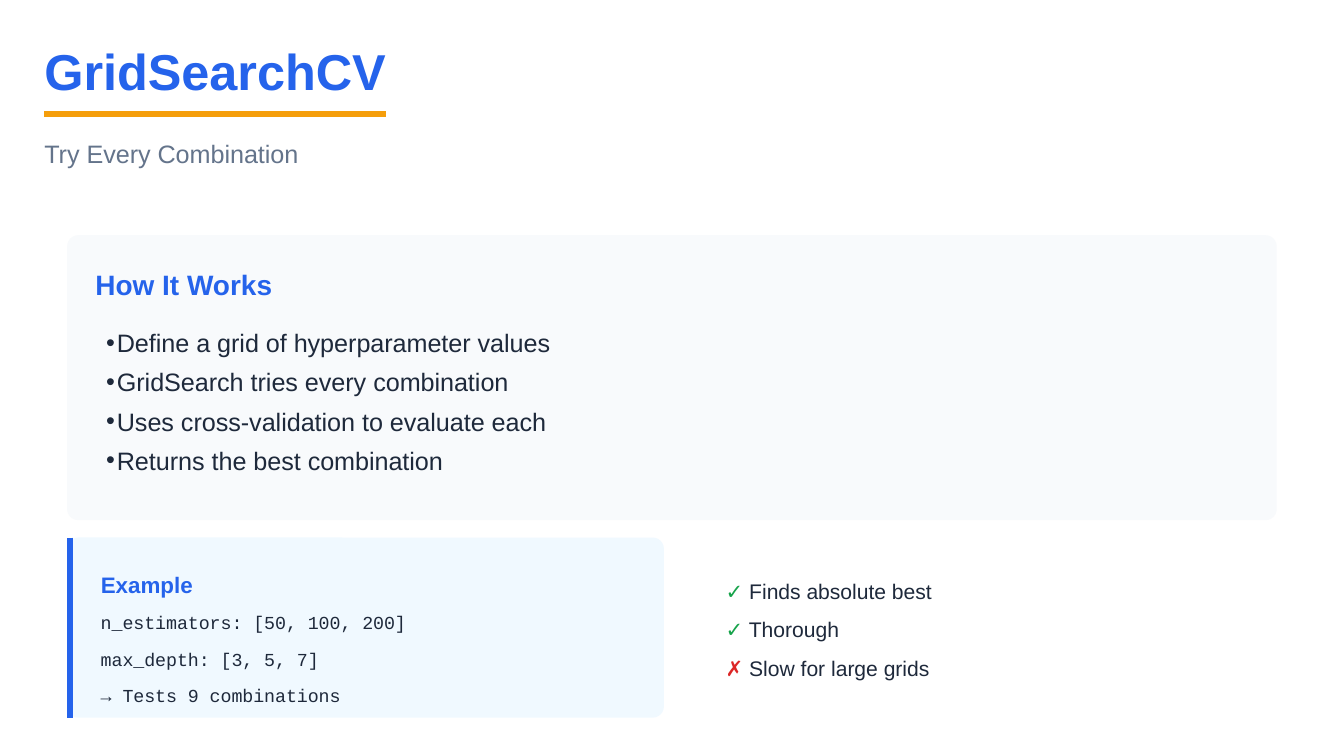
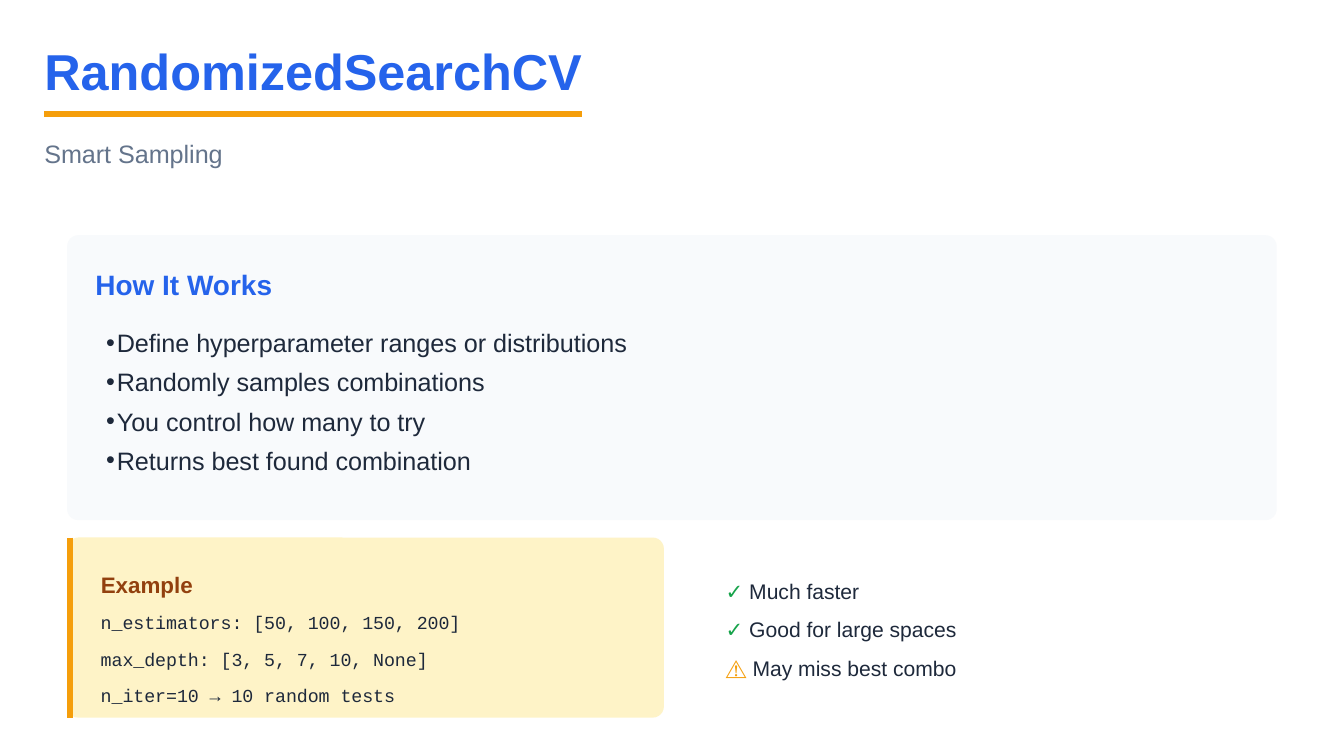
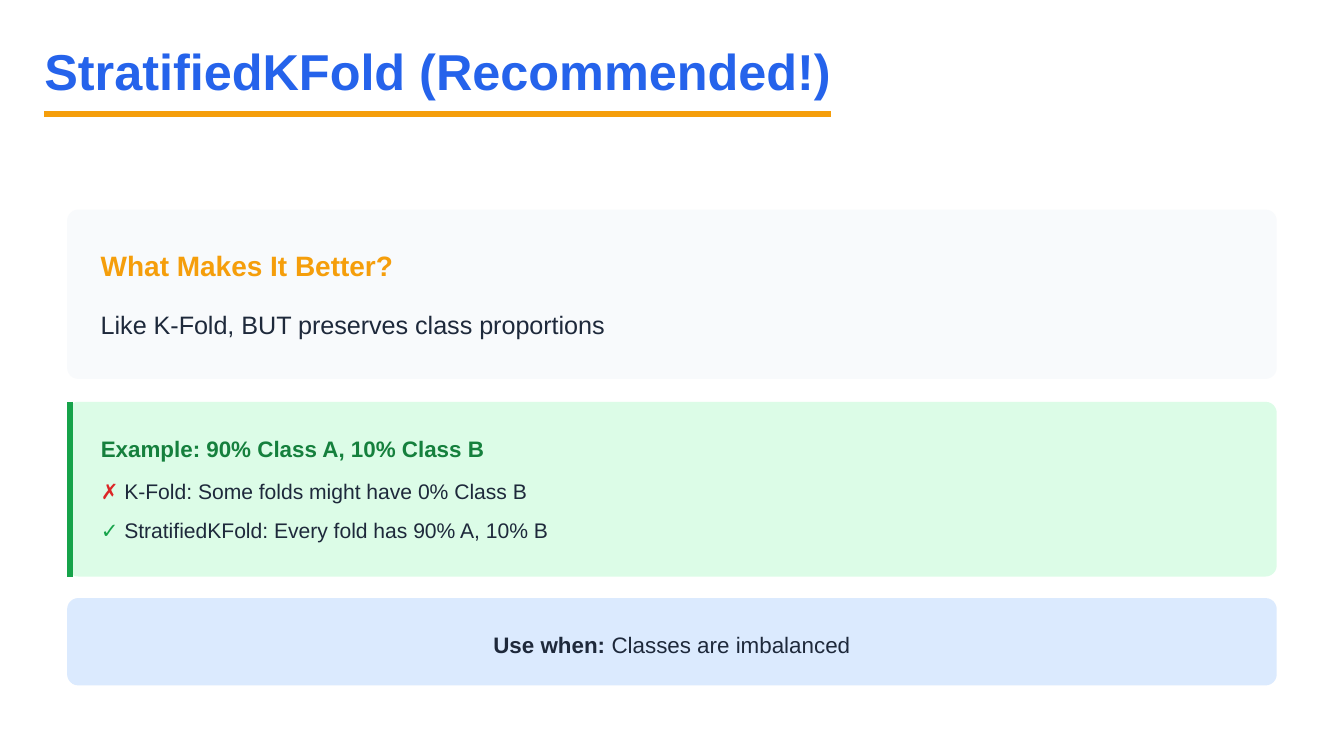
from dataclasses import dataclass
from lxml.etree import SubElement
from pptx import Presentation
from pptx.dml.color import RGBColor
from pptx.enum.shapes import MSO_CONNECTOR as Connector, MSO_SHAPE as Shape
from pptx.enum.text import MSO_ANCHOR as Anchor, MSO_AUTO_SIZE as AutoSize, PP_ALIGN as Align
from pptx.oxml.ns import qn
from pptx.util import Inches, Pt


@dataclass(frozen=True)
class Theme:
    """Colours, fonts and type sizes shared by the slides."""
    blue: str = "2563EB"
    orange: str = "F59E0B"
    green: str = "16A34A"
    red: str = "DC2626"
    brown: str = "92400E"
    dark_green: str = "15803D"
    ink: str = "1E293B"
    muted: str = "64748B"
    card: str = "F8FAFC"
    pale_blue: str = "F0F9FF"
    pale_yellow: str = "FEF3C7"
    pale_green: str = "DCFCE7"
    light_blue: str = "DBEAFE"
    font: str = "Arial"
    code_font: str = "Courier New"
    title_size: float = 27
    heading_size: float = 15
    body_size: float = 13.5
    label_size: float = 12
    mark_size: float = 11.25
    code_size: float = 9.75
    rule_width: float = 3
    corner: float = 6


THEME = Theme()
MARK_COLOURS = {"✓": THEME.green, "✗": THEME.red, "⚠": THEME.orange}


@dataclass(frozen=True)
class Box:
    """A rectangle in inches."""
    left: float
    top: float
    width: float
    height: float

    def inside(self, left, top, height, right=0.04):
        """Return a strip placed relative to this box."""
        return Box(self.left + left, self.top + top, self.width - left - right, height)

    def place(self):
        """Return the four lengths used by shapes."""
        return [Inches(value) for value in (self.left, self.top, self.width, self.height)]


def style_font(font, size, colour, bold=False, name=THEME.font):
    """Set the look of a font."""
    font.size, font.bold, font.name = Pt(size), bold, name
    font.color.rgb = RGBColor.from_string(colour)


def prepare_frame(frame):
    """Remove margins and keep the text at the top of its box."""
    frame.margin_left = frame.margin_right = frame.margin_top = frame.margin_bottom = 0
    frame.word_wrap, frame.auto_size = True, AutoSize.NONE
    frame.vertical_anchor = Anchor.TOP


def add_text(slide, box, lines, size, colour, leading, bold=False, name=THEME.font, gap=0):
    """Add a text box with one paragraph per line and return its frame."""
    frame = slide.shapes.add_textbox(*box.place()).text_frame
    prepare_frame(frame)
    for index, line in enumerate(lines):
        paragraph = frame.paragraphs[0] if index == 0 else frame.add_paragraph()
        paragraph.text = line
        paragraph.line_spacing = Pt(leading)
        if index:
            paragraph.space_before = Pt(gap)
        paragraph.space_after = Pt(gap)
        style_font(paragraph.font, size, colour, bold, name)
    return frame


def add_bullets(slide, box, lines):
    """Add a bulleted list."""
    frame = add_text(slide, box, lines, THEME.body_size, THEME.ink, 21)
    frame.margin_left = Inches(0.08)
    for paragraph in frame.paragraphs:
        properties = paragraph._p.get_or_add_pPr()
        properties.set("marL", str(Inches(0.08)))
        properties.set("indent", str(-Inches(0.08)))
        font_properties = properties.find(qn("a:defRPr"))
        font_properties.addprevious(SubElement(properties, qn("a:buFont"), typeface=THEME.font))
        font_properties.addprevious(SubElement(properties, qn("a:buChar"), char="•"))


def add_two_tone(slide, box, parts, size, leading, align=Align.LEFT):
    """Add one line whose (text, colour, bold) parts differ."""
    frame = slide.shapes.add_textbox(*box.place()).text_frame
    prepare_frame(frame)
    paragraph = frame.paragraphs[0]
    paragraph.alignment, paragraph.line_spacing = align, Pt(leading)
    for text, colour, bold in parts:
        run = paragraph.add_run()
        run.text = text
        style_font(run.font, size, colour, bold)


def add_marked_lines(slide, box, items, bold_mark):
    """Stack lines that start with a coloured mark."""
    pitch = Pt(20.6).inches
    for index, (mark, text) in enumerate(items):
        parts = [(mark, MARK_COLOURS[mark], bold_mark), (f" {text}", THEME.ink, False)]
        add_two_tone(slide, box.inside(0, index * pitch, 0.22, 0), parts, THEME.mark_size, 15.8)


def add_rule(slide, start, end, colour):
    """Draw a thick straight line between two points."""
    rule = slide.shapes.add_connector(
        Connector.STRAIGHT, *(Inches(value) for value in (*start, *end)))
    rule.line.color.rgb, rule.line.width = RGBColor.from_string(colour), Pt(THEME.rule_width)
    SubElement(rule._element.spPr, qn("a:effectLst"))


def add_card(slide, box, fill, accent=None):
    """Draw a rounded panel, with a bar at its left if it has an accent."""
    card = slide.shapes.add_shape(Shape.ROUNDED_RECTANGLE, *box.place())
    card.adjustments[0] = Pt(THEME.corner).inches / min(box.width, box.height)
    card.shadow.inherit = False
    card.fill.solid()
    card.fill.fore_color.rgb = RGBColor.from_string(fill)
    card.line.fill.background()
    if accent:
        bar = box.left + 0.02
        add_rule(slide, (bar, box.top), (bar, box.top + box.height), accent)


def add_header(presentation, title, box, subtitle=None):
    """Start a slide with an underlined title and an optional subtitle."""
    slide = presentation.slides.add_slide(presentation.slide_layouts[5])
    add_rule(slide, (box.left, 0.85), (box.left + box.width / 1.02, 0.85), THEME.orange)
    heading = slide.shapes.title
    heading.left, heading.top, heading.width, heading.height = box.place()
    heading.text_frame.text = title
    prepare_frame(heading.text_frame)
    heading.text_frame.word_wrap = False
    paragraph = heading.text_frame.paragraphs[0]
    paragraph.alignment, paragraph.line_spacing = Align.LEFT, Pt(30)
    style_font(paragraph.font, THEME.title_size, THEME.blue, True)
    if subtitle:
        add_text(slide, Box(box.left, 0.96, 9.52, 0.29), [subtitle],
                 THEME.body_size, THEME.muted, 21)
    return slide


def add_steps_card(slide, box, steps):
    """Fill the panel that explains how a search works."""
    add_card(slide, box, THEME.card)
    add_text(slide, box.inside(0.21, 0.2, 0.29), ["How It Works"],
             THEME.heading_size, THEME.blue, 21, True)
    add_bullets(slide, box.inside(0.21, 0.62, 1.29, 0.21), steps)


def add_example_card(slide, box, label, fill, accent, label_colour):
    """Draw an accented panel with its label."""
    add_card(slide, box, fill, accent)
    add_text(slide, box.inside(0.25, 0.2, 0.25), [label], THEME.label_size, label_colour, 18, True)


def build_search_slide(presentation, title, title_width, subtitle, steps, colours, code, verdicts):
    """Build a slide on a search method: steps, example and verdicts."""
    slide = add_header(presentation, title, Box(0.33, 0.33, title_width, 0.42), subtitle)
    add_steps_card(slide, Box(0.5, 1.75, 9, 2.12), steps)
    example = Box(0.5, 4, 4.44, 1.34)
    add_example_card(slide, example, "Example", *colours)
    add_text(slide, example.inside(0.25, 0.52, 0.57, 0.13), code, THEME.code_size, THEME.ink,
             13.7, name=THEME.code_font, gap=3)
    add_marked_lines(slide, Box(5.4, 4.27, 4.06, 0.79), verdicts, True)


def build_fold_slide(presentation):
    """Build the slide on stratified folds."""
    slide = add_header(presentation, "StratifiedKFold (Recommended!)", Box(0.33, 0.33, 5.97, 0.42))
    benefit = Box(0.5, 1.56, 9, 1.26)
    add_card(slide, benefit, THEME.card)
    add_text(slide, benefit.inside(0.25, 0.25, 0.29, 0.08), ["What Makes It Better?"],
             THEME.heading_size, THEME.orange, 21, True)
    add_text(slide, benefit.inside(0.25, 0.67, 0.3, 0.08),
             ["Like K-Fold, BUT preserves class proportions"], THEME.body_size, THEME.ink, 21.6)
    example = Box(0.5, 2.99, 9, 1.3)
    add_example_card(slide, example, "Example: 90% Class A, 10% Class B",
                     THEME.pale_green, THEME.green, THEME.dark_green)
    add_marked_lines(slide, example.inside(0.25, 0.54, 0.51),
                     [("✗", "K-Fold: Some folds might have 0% Class B"),
                      ("✓", "StratifiedKFold: Every fold has 90% A, 10% B")], False)
    advice = Box(0.5, 4.45, 9, 0.65)
    add_card(slide, advice, THEME.light_blue)
    add_two_tone(slide, advice.inside(0.08, 0.21, 0.23, 0.08),
                 [("Use when:", THEME.ink, True), (" Classes are imbalanced", THEME.ink, False)],
                 THEME.label_size, 16.8, Align.CENTER)


def main():
    """Build and save the presentation."""
    presentation = Presentation()
    presentation.slide_width = Inches(10)
    presentation.slide_height = Inches(10) * 9 // 16
    build_search_slide(
        presentation, "GridSearchCV", 2.59, "Try Every Combination",
        ["Define a grid of hyperparameter values", "GridSearch tries every combination",
         "Uses cross-validation to evaluate each", "Returns the best combination"],
        (THEME.pale_blue, THEME.blue, THEME.blue),
        ["n_estimators: [50, 100, 200]", "max_depth: [3, 5, 7]", "→ Tests 9 combinations"],
        [("✓", "Finds absolute best"), ("✓", "Thorough"), ("✗", "Slow for large grids")])
    build_search_slide(
        presentation, "RandomizedSearchCV", 4.08, "Smart Sampling",
        ["Define hyperparameter ranges or distributions", "Randomly samples combinations",
         "You control how many to try", "Returns best found combination"],
        (THEME.pale_yellow, THEME.orange, THEME.brown),
        ["n_estimators: [50, 100, 150, 200]", "max_depth: [3, 5, 7, 10, None]",
         "n_iter=10 → 10 random tests"],
        [("✓", "Much faster"), ("✓", "Good for large spaces"), ("⚠", "May miss best combo")])
    build_fold_slide(presentation)
    presentation.save("out.pptx")


if __name__ == "__main__":
    main()
